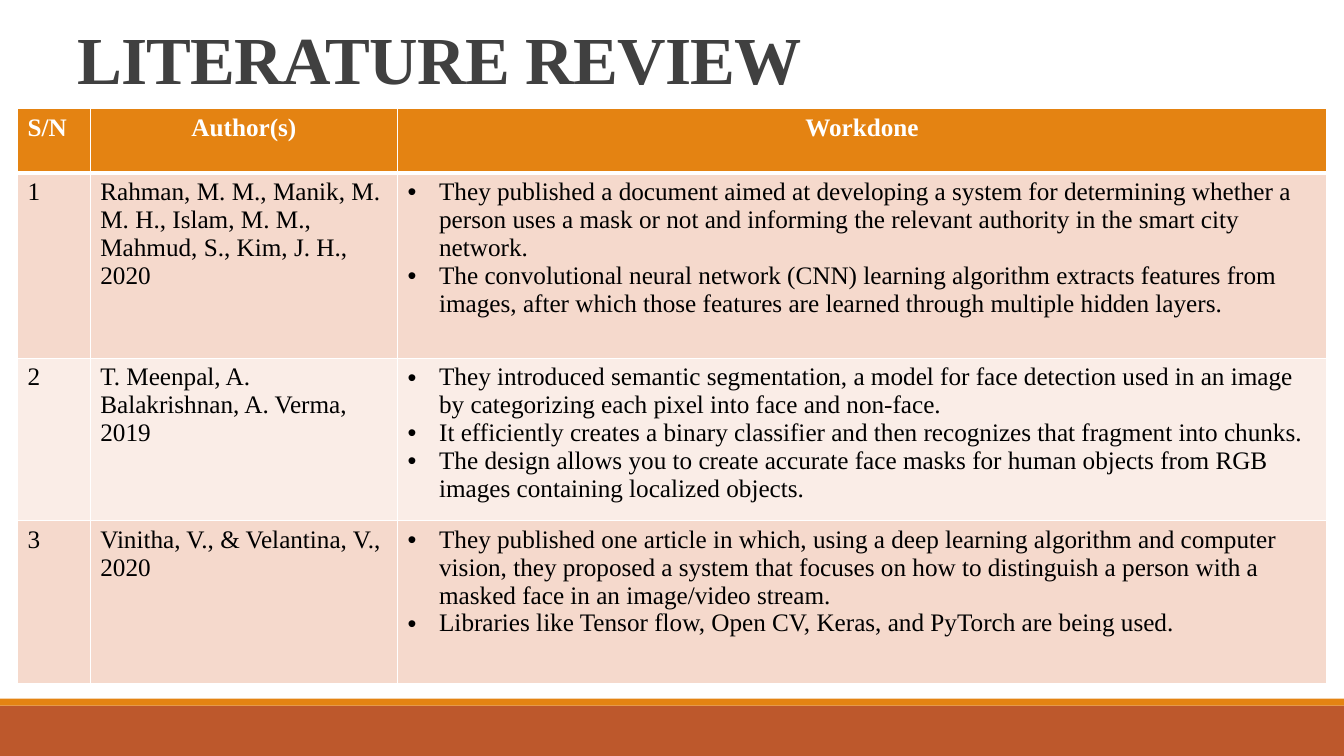
from lxml import etree
from pptx import Presentation
from pptx import util as u
from pptx.dml import color
from pptx.enum import shapes, text
from pptx.oxml import ns

COLORS = {
    "rust": "BD582C",
    "orange": "E48312",
    "title": "404040",
    "white": "FFFFFF",
    "black": "000000",
    "band_dark": "F5D9CC",
    "band_light": "FAEDE7",
}
INDENT = u.Pt(22.5)


def write(frame, lines, size=18, ink="black", bold=False, align="LEFT",
          bullet=False, leading=None, spacing=None):
    frame.word_wrap = True
    for index, line in enumerate(lines):
        para = frame.paragraphs[0] if index == 0 else frame.add_paragraph()
        para.alignment = getattr(text.PP_ALIGN, align)
        if leading:
            para.line_spacing = leading
        if bullet:
            props = para._p.get_or_add_pPr()
            props.set("marL", str(INDENT))
            props.set("indent", str(-INDENT))
            etree.SubElement(props, ns.qn("a:buFont")).set("typeface", "Arial")
            etree.SubElement(props, ns.qn("a:buChar")).set("char", "•")
        span = para.add_run()
        span.text = line
        span.font.name = "Times New Roman"
        span.font.size = u.Pt(size)
        span.font.bold = bold
        span.font.color.rgb = color.RGBColor.from_string(COLORS[ink])
        if spacing:
            span._r.get_or_add_rPr().set("spc", str(round(spacing * 100)))


def add_border(cell, side, width):
    line = etree.SubElement(cell._tc.get_or_add_tcPr(), ns.qn("a:ln" + side))
    line.set("w", str(u.Pt(width)))
    fill = etree.SubElement(line, ns.qn("a:solidFill"))
    etree.SubElement(fill, ns.qn("a:srgbClr")).set("val", COLORS["white"])


deck = Presentation()
deck.slide_width = u.Pt(960)
deck.slide_height = u.Pt(540)
page = deck.slides.add_slide(deck.slide_layouts[6])

for top, height, tint in [(504, 36, "rust"), (499, 5, "orange")]:
    bar = page.shapes.add_shape(shapes.MSO_SHAPE.RECTANGLE,
                                0, u.Pt(top), u.Pt(960), u.Pt(height))
    bar.shadow.inherit = False
    bar.fill.solid()
    bar.fill.fore_color.rgb = color.RGBColor.from_string(COLORS[tint])
    bar.line.fill.background()

title = page.shapes.add_textbox(u.Pt(48), u.Pt(8), u.Pt(792), u.Pt(122))
title.text_frame.vertical_anchor = text.MSO_ANCHOR.BOTTOM
title.text_frame.margin_bottom = u.Pt(60)
write(title.text_frame, ["LITERATURE REVIEW"], size=48, ink="title",
      bold=True, leading=0.85, spacing=-0.5)

headings = ["S/N", "Author(s)", "Workdone"]
reviews = [
    ("Rahman, M. M., Manik, M. M. H., Islam, M. M., Mahmud, S., Kim, J. H., 2020", [
        "They published a document aimed at developing a system for determining whether a person uses a mask or not and informing the relevant authority in the smart city network.",
        "The convolutional neural network (CNN) learning algorithm extracts features from images, after which those features are learned through multiple hidden layers.",
    ]),
    ("T. Meenpal, A. Balakrishnan, A. Verma, 2019", [
        "They introduced semantic segmentation, a model for face detection used in an image by categorizing each pixel into face and non-face.",
        "It efficiently creates a binary classifier and then recognizes that fragment into chunks.",
        "The design allows you to create accurate face masks for human objects from RGB images containing localized objects.",
    ]),
    ("Vinitha, V., & Velantina, V., 2020", [
        "They published one article in which, using a deep learning algorithm and computer vision, they proposed a system that focuses on how to distinguish a person with a masked face in an image/video stream.",
        "Libraries like Tensor flow, Open CV, Keras, and PyTorch are being used.",
    ]),
]
widths = [52, 219.5, 663.5]
heights = [46, 132.5, 116, 116]

frame = page.shapes.add_table(len(heights), len(widths), u.Pt(12.5), u.Pt(77.5),
                              u.Pt(sum(widths)), u.Pt(sum(heights)))
table = frame.table
for column, width in zip(table.columns, widths):
    column.width = u.Pt(width)
for row, height in zip(table.rows, heights):
    row.height = u.Pt(height)

rows = [[[heading] for heading in headings]]
rows += [[[str(number)], [authors], work]
         for number, (authors, work) in enumerate(reviews, 1)]

for r, row in enumerate(rows):
    header = r == 0
    band = "orange" if header else "band_dark" if r % 2 else "band_light"
    for c, lines in enumerate(row):
        cell = table.cell(r, c)
        for side in "LRTB":
            heavy = (r, side) in [(0, "B"), (1, "T")]
            add_border(cell, side, 3 if heavy else 1)
        cell.fill.solid()
        cell.fill.fore_color.rgb = color.RGBColor.from_string(COLORS[band])
        write(cell.text_frame, lines,
              ink="white" if header else "black", bold=header,
              align="CENTER" if header and c > 0 else "LEFT",
              bullet=not header and c == 2)

deck.save("out.pptx")
